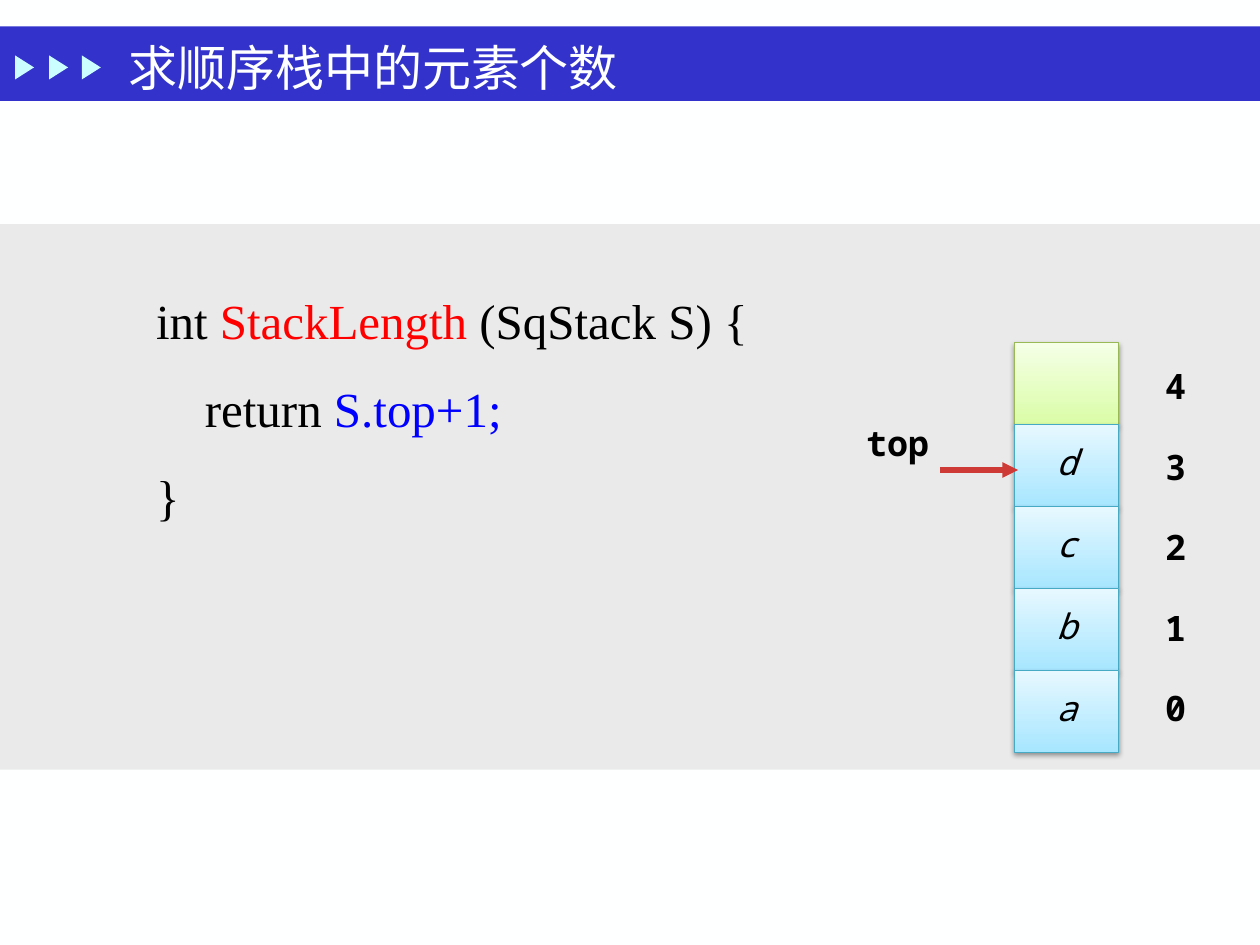
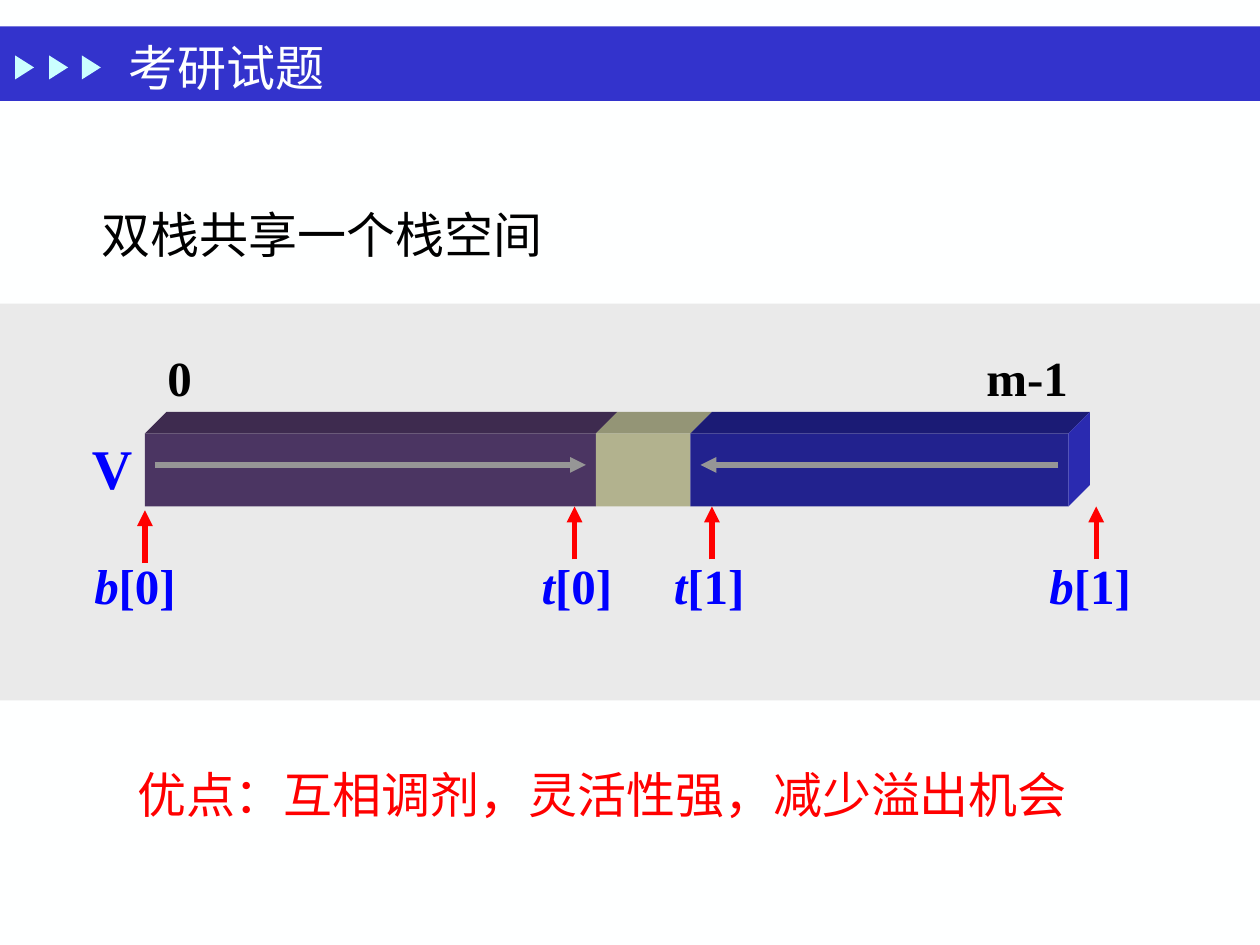
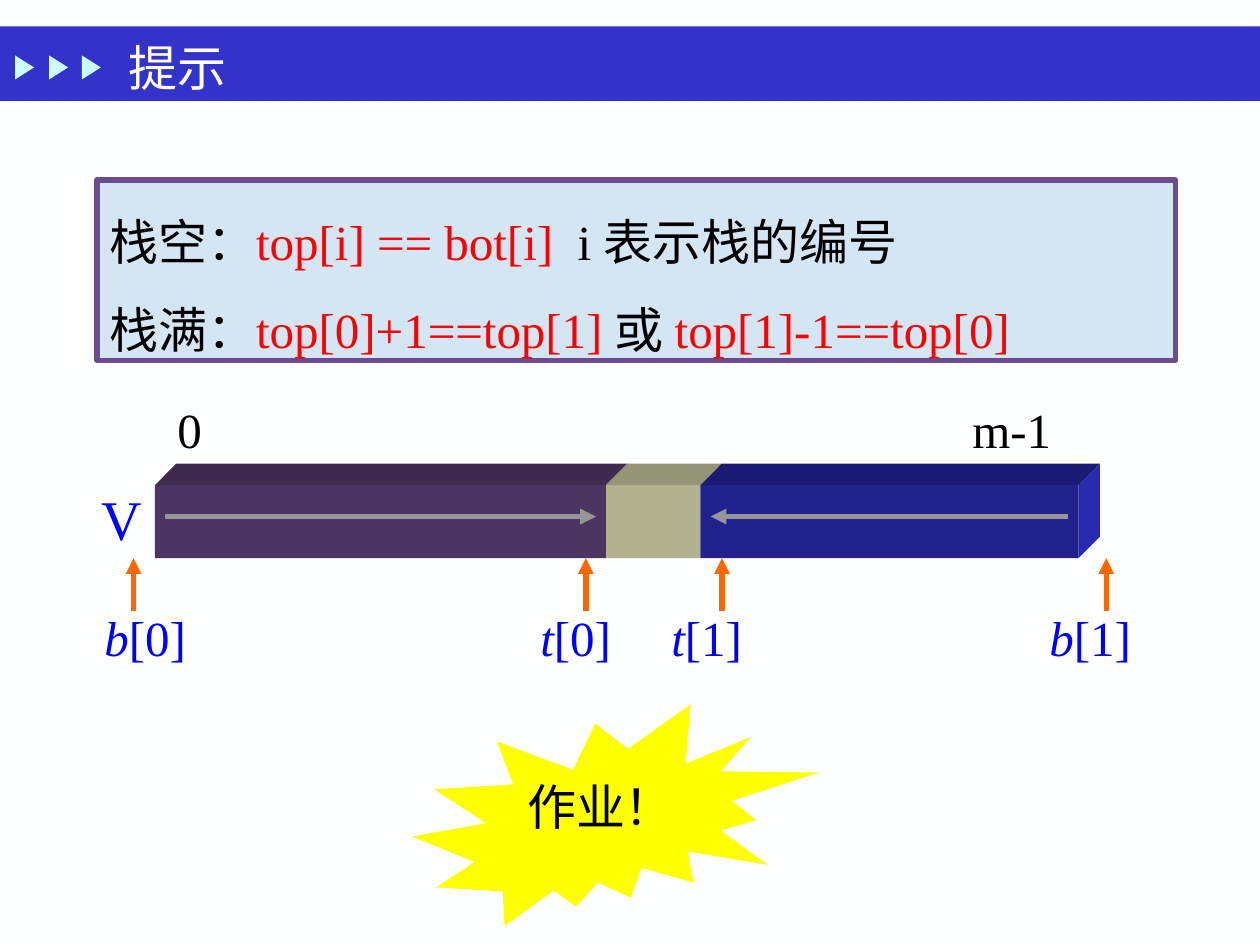
"""Build three slides on the sequential stack and two stacks sharing one space."""
import dataclasses
import typing

import lxml.etree
import pptx
import pptx.dml.color
import pptx.enum.shapes
import pptx.enum.text
import pptx.oxml.ns
import pptx.util

Inches = pptx.util.Inches
Pt = pptx.util.Pt
SHAPE = pptx.enum.shapes.MSO_SHAPE
ALIGN = pptx.enum.text.PP_ALIGN
ANCHOR = pptx.enum.text.MSO_ANCHOR
qn = pptx.oxml.ns.qn


@dataclasses.dataclass(frozen=True)
class Theme:
    paper: str = "FEFFFF"
    band: str = "3333CC"
    marker: str = "CBFFFF"
    panel: str = "EAEAEA"
    ink: str = "000000"
    red: str = "FF0000"
    blue: str = "0000FF"
    orange: str = "FF6600"
    top_arrow: str = "CE3B37"
    flow: str = "969696"
    hint: str = "D4E6F4"
    hint_edge: str = "6C4C8F"
    burst: str = "FFFF00"
    side: str = "2A2AB0"
    serif: str = "Times New Roman"
    mono: str = "Noto Sans Mono"
    cjk: str = "Noto Sans CJK SC"
    body: int = 28
    name: int = 32
    cell: int = 20


T = Theme()


class Run(typing.NamedTuple):
    text: str
    color: str = T.ink
    italic: bool = False


class Box(typing.NamedTuple):
    left: float
    top: float
    width: float
    height: float


class CellStyle(typing.NamedTuple):
    dark: str
    light: str
    edge: str


class Segment(typing.NamedTuple):
    left: float
    width: float
    front: str
    top: str


@dataclasses.dataclass(frozen=True)
class SharedSpace:
    left: float
    top: float
    pointers: tuple[tuple[float, float], ...]
    pointer_color: str
    pointer_tabs: tuple[float, ...]
    last_index_tab: float
    bold: bool


EMPTY = CellStyle("DAFDA7", "F5FFE7", "98B955")
USED = CellStyle("A7E6FF", "E7F8FF", "46AAC5")
SEGMENTS = (
    Segment(0, 3.58, "4B3562", "3E2B4F"),
    Segment(3.58, 0.75, "B2B28E", "949576"),
    Segment(4.33, 3, "22228E", "1B1B75"),
)
EXAM = SharedSpace(1.15, 3.44, ((0, 0.03), (3.41, 0), (4.5, 0), (7.55, 0)),
                   T.red, (3.55, 4.6, 7.58), 6.5, True)
HINT = SharedSpace(1.23, 3.85, ((-0.17, 0), (3.42, 0), (4.5, 0), (7.55, 0)),
                   T.orange, (3.46, 4.5, 7.5), 6.31, False)


def rgb(color: str) -> pptx.dml.color.RGBColor:
    return pptx.dml.color.RGBColor.from_string(color)


def write(sp, paragraphs: list[list[Run]], *, size: int = T.body, font: str = T.serif,
          bold: bool = False, align=ALIGN.LEFT, spacing: float = 1.0,
          anchor=ANCHOR.TOP, wrap: bool = True, tabs: tuple[float, ...] = ()) -> None:
    tf = sp.text_frame
    tf.word_wrap = wrap
    tf.vertical_anchor = anchor
    for i, runs in enumerate(paragraphs):
        p = tf.add_paragraph() if i else tf.paragraphs[0]
        p.alignment = align
        p.line_spacing = spacing
        if tabs:
            stops = lxml.etree.SubElement(p._p.get_or_add_pPr(), qn("a:tabLst"))
            for tab in tabs:
                lxml.etree.SubElement(stops, qn("a:tab"), pos=str(Inches(tab)), algn="l")
        for run in runs:
            r = p.add_run()
            r.text = run.text
            r.font.size = Pt(size)
            r.font.bold = bold
            r.font.italic = run.italic
            r.font.color.rgb = rgb(run.color)
            r.font.name = font
            lxml.etree.SubElement(r._r.get_or_add_rPr(), qn("a:ea"), typeface=T.cjk)


def add_text(s, box: Box, paragraphs: list[list[Run]], **fmt) -> None:
    write(s.shapes.add_textbox(*map(Inches, box)), paragraphs, **fmt)


def paint(sp, fill: str | None, line: str | None = None, width: float = 3) -> None:
    sp.shadow.inherit = False
    if fill:
        sp.fill.solid()
        sp.fill.fore_color.rgb = rgb(fill)
    else:
        sp.fill.background()
    if line:
        sp.line.color.rgb = rgb(line)
        sp.line.width = Pt(width)
    else:
        sp.line.fill.background()


def add_shape(s, box: Box, fill: str | None = None, kind=SHAPE.RECTANGLE,
              line: str | None = None):
    sp = s.shapes.add_shape(kind, *map(Inches, box))
    paint(sp, fill, line)
    return sp


def add_face(s, points: list[tuple[float, float]], fill: str) -> None:
    corners = [(Inches(x), Inches(y)) for x, y in points]
    builder = s.shapes.build_freeform(*corners[0])
    builder.add_line_segments(corners[1:])
    paint(builder.convert_to_shape(), fill)


def add_arrow(s, start: tuple[float, float], end: tuple[float, float], color: str) -> None:
    kind = pptx.enum.shapes.MSO_CONNECTOR.STRAIGHT
    cx = s.shapes.add_connector(kind, *map(Inches, start + end))
    cx.line.color.rgb = rgb(color)
    cx.line.width = Pt(3)
    lxml.etree.SubElement(cx.line._get_or_add_ln(), qn("a:tailEnd"), type="triangle")
    lxml.etree.SubElement(cx._element.spPr, qn("a:effectLst"))


def add_cell(s, box: Box, style: CellStyle, label: str) -> None:
    sp = add_shape(s, box, style.light, line=style.edge)
    sp.line.width = Pt(0.75)
    sp.fill.gradient()
    sp.fill.gradient_angle = 90
    for stop, color in zip(sp.fill.gradient_stops, (style.dark, style.light)):
        stop.color.rgb = rgb(color)
    effects = sp._element.spPr.find(qn("a:effectLst"))
    shadow = lxml.etree.SubElement(effects, qn("a:outerShdw"), blurRad=str(Pt(3.1)),
                                   dist=str(Pt(1.6)), dir="5400000", rotWithShape="0")
    black = lxml.etree.SubElement(shadow, qn("a:srgbClr"), val=T.ink)
    lxml.etree.SubElement(black, qn("a:alpha"), val="38000")
    if label:
        write(sp, [[Run(label, italic=True)]], size=T.cell, font=T.mono, align=ALIGN.CENTER,
              spacing=0.8, anchor=ANCHOR.MIDDLE, wrap=False)


def prepare_layout(prs, s) -> None:
    layout = s.slide_layout
    layout.background.fill.solid()
    layout.background.fill.fore_color.rgb = rgb(T.paper)
    title = layout.placeholders[0]
    title.left, title.top, title.width, title.height = map(Inches, (0.92, 0.28, 7, 0.5))
    marks = [add_shape(s, Box(0, 0.21, 10, 0.59), T.band)]
    for left in (0.1, 0.37, 0.63):
        sp = add_shape(s, Box(left, 0.46, 0.19, 0.15), T.marker, SHAPE.ISOSCELES_TRIANGLE)
        sp.rotation = 90
        marks.append(sp)
    for sp in marks:
        layout.shapes.element.append(sp.element)


def add_slide(prs, title: str):
    s = prs.slides.add_slide(prs.slide_layouts[5])
    write(s.shapes.title, [[Run(title, T.paper)]], anchor=ANCHOR.MIDDLE)
    return s


def draw_stack(s) -> None:
    mono = dict(size=T.cell, font=T.mono, bold=True, align=ALIGN.CENTER, spacing=0.8)
    height = 0.65
    for i, label in enumerate(("", "d", "c", "b", "a")):
        add_cell(s, Box(8.05, 2.72 + i * height, 0.83, height), USED if label else EMPTY, label)
        add_text(s, Box(9.02, 2.9 + i * 0.64, 0.62, 0.38), [[Run(str(4 - i))]],
                 anchor=ANCHOR.MIDDLE, **mono)
    add_arrow(s, (7.46, 3.73), (8.08, 3.73), T.top_arrow)
    add_text(s, Box(6.66, 3.36, 0.93, 0.62), [[Run("top")]], **mono)


def draw_shared_space(s, space: SharedSpace) -> None:
    x, y, height, depth = space.left, space.top, 0.58, 0.17
    bottom = y + height
    labels = []
    for i, (letter, index) in enumerate((("b", 0), ("t", 0), ("t", 1), ("b", 1))):
        labels += [Run(("\t" if i else "") + letter, T.blue, True), Run(f"[{index}]", T.blue)]
    add_text(s, Box(x - 0.5, y + 0.92, 8.56, 0.57), [labels],
             bold=space.bold, tabs=space.pointer_tabs)
    for dx, dy in space.pointers:
        add_arrow(s, (x + dx, bottom + 0.42 + dy), (x + dx, bottom + dy), space.pointer_color)
    for seg in SEGMENTS:
        left = x + seg.left
        right = left + seg.width
        add_shape(s, Box(left, y, seg.width, height), seg.front)
        add_face(s, [(left, y), (left + depth, y - depth), (right + depth, y - depth),
                     (right, y)], seg.top)
    add_face(s, [(right, y), (right + depth, y - depth), (right + depth, bottom - depth),
                 (right, bottom)], T.side)
    add_text(s, Box(x + 0.08, y - 0.73, 7.8, 0.57), [[Run("0\tm-1")]],
             bold=space.bold, tabs=(space.last_index_tab,))
    add_text(s, Box(x - 0.52, y - 0.05, 0.52, 0.63), [[Run("V", T.blue)]],
             size=T.name, bold=space.bold, wrap=False)
    for start, end in ((0.08, 3.5), (7.25, 4.41)):
        add_arrow(s, (x + start, y + 0.25), (x + end, y + 0.25), T.flow)


def main() -> None:
    prs = pptx.Presentation()
    prs.slide_width, prs.slide_height = Inches(10), Inches(7.5)

    s = add_slide(prs, "求顺序栈中的元素个数")
    prepare_layout(prs, s)
    add_shape(s, Box(0, 1.78, 10, 4.33), T.panel)
    add_text(s, Box(1.14, 2.02, 5.87, 2.14), [
        [Run("int "), Run("StackLength ", T.red), Run("(SqStack S) {")],
        [Run("    return "), Run("S.top+1;", T.blue)],
        [Run("}")],
    ], spacing=1.5)
    draw_stack(s)

    s = add_slide(prs, "考研试题")
    add_shape(s, Box(0, 2.41, 10, 3.15), T.panel)
    draw_shared_space(s, EXAM)
    sp = add_shape(s, Box(0.68, 1.52, 4.99, 0.62), kind=SHAPE.ROUNDED_RECTANGLE)
    write(sp, [[Run("双栈共享一个栈空间")]], spacing=1.05)
    add_text(s, Box(0.99, 6.02, 8.1, 0.57),
             [[Run("优点：互相调剂，灵活性强，减少溢出机会", T.red)]])

    s = add_slide(prs, "提示")
    draw_shared_space(s, HINT)
    sp = add_shape(s, Box(0.77, 1.43, 8.56, 1.43), T.hint, line=T.hint_edge)
    write(sp, [
        [Run("栈空："), Run("top[i] == bot[i]  ", T.red), Run("i 表示栈的编号")],
        [Run("栈满："), Run("top[0]+1==top[1] ", T.red), Run("或 "),
         Run("top[1]-1==top[0]", T.red)],
    ], spacing=1.5, anchor=ANCHOR.MIDDLE)
    sp = add_shape(s, Box(3.27, 5.59, 3.23, 1.76), T.burst, SHAPE.EXPLOSION2)
    write(sp, [[Run("作业！")]], font=T.cjk, align=ALIGN.CENTER, wrap=False)

    prs.save("out.pptx")


if __name__ == "__main__":
    main()
